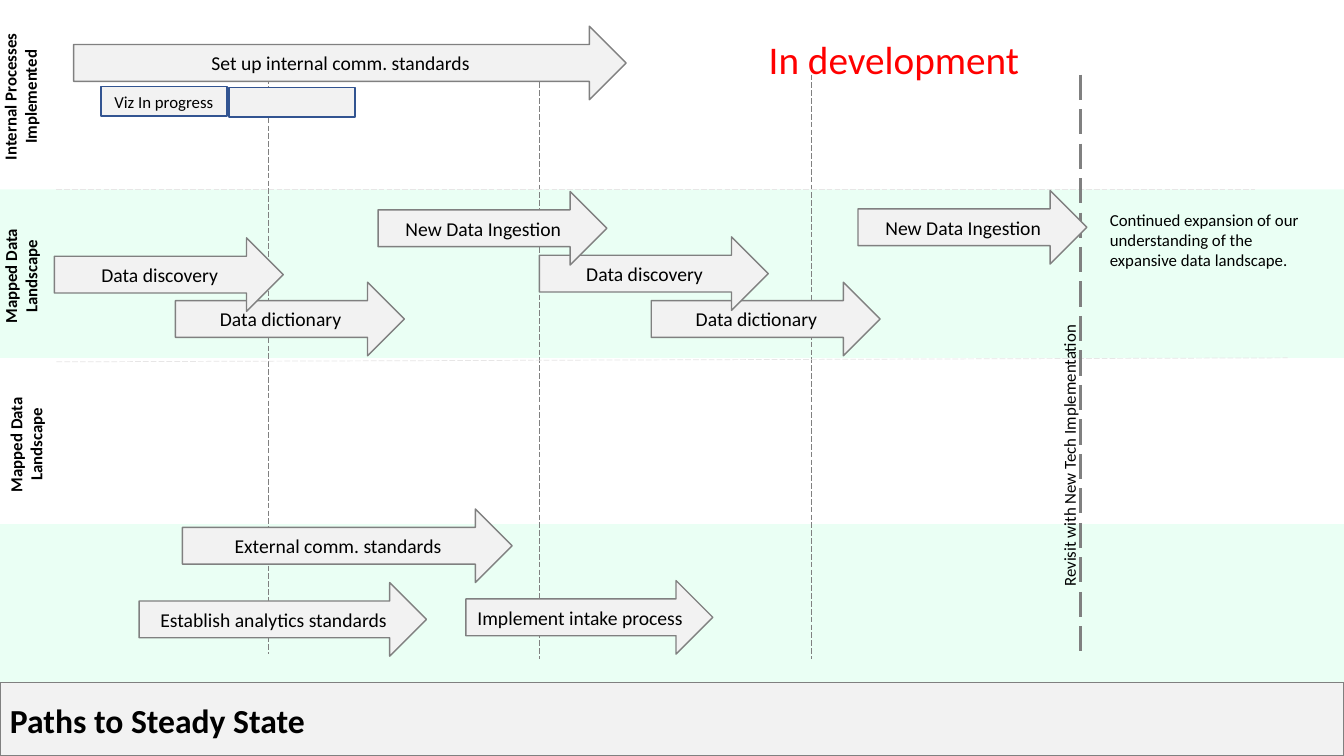
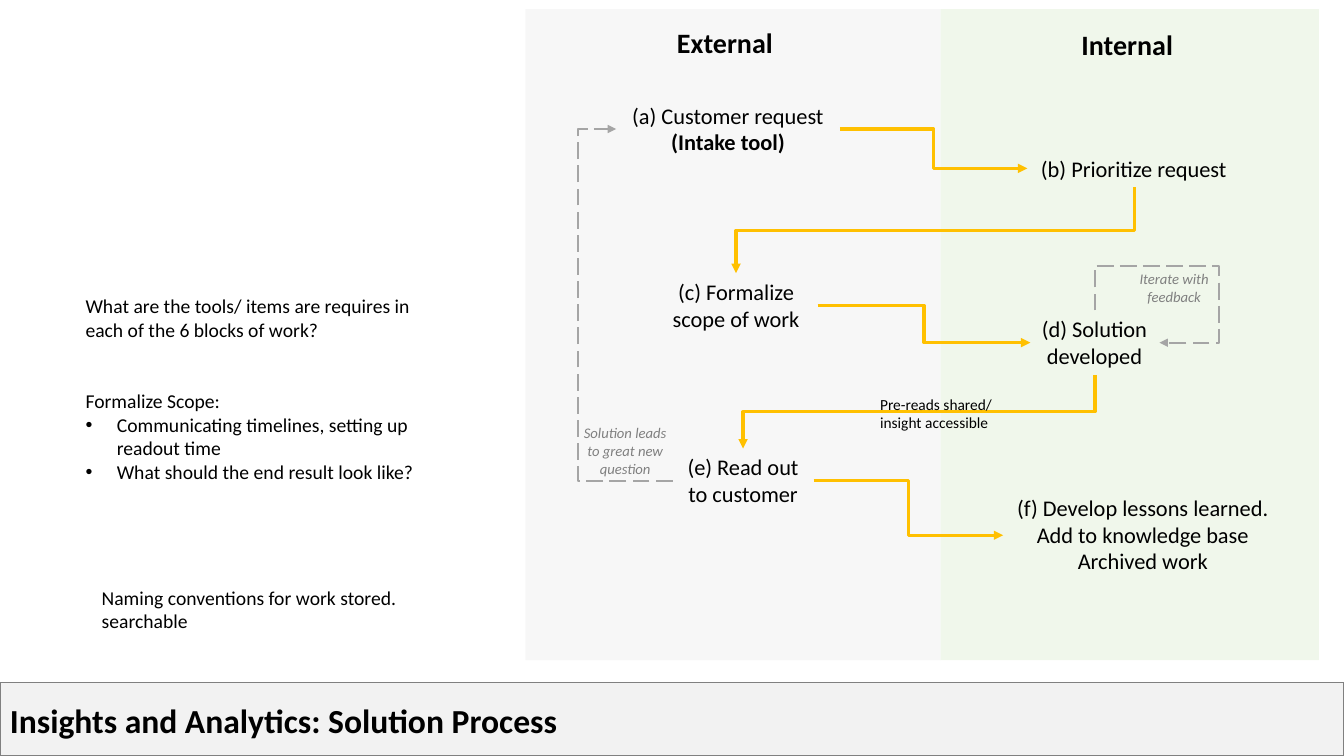
from pptx import Presentation
from pptx.dml.color import RGBColor
from pptx.enum.dml import MSO_LINE
from pptx.enum.shapes import MSO_CONNECTOR, MSO_SHAPE
from pptx.enum.text import MSO_ANCHOR, PP_ALIGN
from pptx.oxml.ns import qn
from pptx.util import Inches, Pt
from lxml.etree import SubElement

FONT = "Calibri"
WIDE, HIGH = 13.33, 7.5
COLORS = {
    "black": "000000", "red": "FF0000", "gray": "808080", "panel": "F2F2F2",
    "mint": "99FFCC", "pale": "E7E6E6", "navy": "325491", "silver": "EDEDED",
    "leaf": "E2F0D9", "gold": "FFC000", "loop": "A5A5A5",
}
LEFT, CENTER, RIGHT = PP_ALIGN.LEFT, PP_ALIGN.CENTER, PP_ALIGN.RIGHT

# Roadmap slide
LANES = [(5.2, 1.57), (1.88, 1.67)]  # top, height
RULES = [  # start, end, colour, weight
    ((8.05, 0.74), (8.05, 6.54), "gray", 0.5),
    ((5.35, 0.74), (5.35, 6.54), "gray", 0.5),
    ((2.66, 0.7), (2.66, 6.49), "gray", 0.5),
    ((0.56, 1.88), (12.45, 1.88), "pale", 0.5),
    ((0.56, 3.59), (12.77, 3.55), "pale", 0.5),
    ((10.72, 0.74), (10.72, 6.54), "gray", 2.25),
]
ARROW_H, STEP_W = 0.73, 2.27
STEPS = [  # text, left, top, width
    ("Set up internal comm. standards", 0.73, 0.26, 5.48),
    ("External comm. standards", 1.81, 5.05, 3.27),
    ("Data dictionary", 1.74, 2.8, STEP_W),
    ("Implement intake process", 4.62, 5.76, 2.45),
    ("Establish analytics standards", 1.38, 5.78, 2.85),
    ("Data discovery", 0.54, 2.36, STEP_W),
    ("Data dictionary", 6.46, 2.8, STEP_W),
    ("New Data Ingestion", 8.51, 1.89, STEP_W),
    ("Data discovery", 5.35, 2.35, STEP_W),
    ("New Data Ingestion", 3.75, 1.9, STEP_W),
]
TASKS = [("Viz In progress", 1, 0.86), ("", 2.27, 0.87)]
LABELS = [
    ("Internal Processes Implemented", (-0.68, 0.71, 1.76, 0.5)),
    ("Mapped Data Landscape", (-0.65, 2.49, 1.71, 0.5)),
    ("Mapped Data Landscape", (-0.6, 4.16, 1.71, 0.5)),
]

# Process slide
ZONES = [  # box, fill, opacity
    ((5.21, 0.09, 4.12, 6.46), "silver", 40),
    ((9.33, 0.09, 3.75, 6.46), "leaf", 50),
]
HEADS = [("External", (6.21, 0.2, 1.96, 0.44)),
         ("Internal", (10.2, 0.22, 1.96, 0.44))]
STAGES = [
    ("(a) Customer request\n(Intake tool)", (6.11, 0.96, 2.22, 0.64)),
    ("(b) Prioritize request", (10.19, 1.49, 2.11, 0.37)),
    ("(c) Formalize scope of work", (6.49, 2.71, 1.62, 0.64)),
    ("(d) Solution developed", (10.22, 3.08, 1.27, 0.64)),
    ("(e) Read out to customer", (6.67, 4.45, 1.4, 0.64)),
    ("(f) Develop lessons learned.\nAdd to knowledge base\nArchived work",
     (9.95, 4.85, 2.77, 0.91)),
]
FLOWS = [  # start, end, rotation
    ((8.33, 1.28), (10.19, 1.67), 0),
    ((11.25, 1.86), (7.3, 2.71), 90),
    ((8.11, 3.03), (10.22, 3.4), 0),
    ((10.86, 3.72), (7.37, 4.45), 90),
    ((8.07, 4.77), (9.95, 5.31), 0),
]
LOOPS = [  # start, end, rotation, bends, flipped
    ((10.86, 3.08), (11.5, 3.4), 270, (-1.38, 1.92), True),
    ((6.67, 4.77), (6.11, 1.28), 180, (1.68,), False),
]
ASIDES = [("Solution leads to great new question", (5.64, 4.16, 1.12, 0.63)),
          ("Iterate with feedback", (11.2, 2.63, 0.89, 0.45))]
NOTES = [
    "What are the tools/ items are requires in each of the 6 blocks of work?",
    "Formalize Scope:",
    "Communicating timelines, setting up readout time",
    "What should the end result look like?",
]


def rgb(name):
    return RGBColor.from_string(COLORS[name])


def style(frame, size, color="black", bold=False, italic=False, align=LEFT):
    frame.word_wrap = True
    for para in frame.paragraphs:
        para.alignment = align
        for run in para.runs:
            font = run.font
            font.name, font.size = FONT, Pt(size)
            font.bold, font.italic = bold, italic
            font.color.rgb = rgb(color)


def text(slide, words, box, size, turn=0, **look):
    shape = slide.shapes.add_textbox(*map(Inches, box))
    shape.rotation = turn
    shape.text_frame.text = words
    style(shape.text_frame, size, **look)
    return shape.text_frame


def block(slide, box, fill, line=None, kind=MSO_SHAPE.RECTANGLE,
          opacity=100, words="", size=14):
    shape = slide.shapes.add_shape(kind, *map(Inches, box))
    shape.shadow.inherit = False
    shape.fill.solid()
    shape.fill.fore_color.rgb = rgb(fill)
    if opacity < 100:
        tint = shape.fill._xPr.find(qn("a:solidFill"))[0]
        SubElement(tint, qn("a:alpha")).set("val", str(opacity * 1000))
    if line:
        shape.line.color.rgb = rgb(line)
        shape.line.width = Pt(1)
    else:
        shape.line.fill.background()
    if words:
        shape.text_frame.text = words
        shape.text_frame.vertical_anchor = MSO_ANCHOR.MIDDLE
        style(shape.text_frame, size, align=CENTER)


def rule(slide, start, end, color, weight, dash=True,
         kind=MSO_CONNECTOR.STRAIGHT):
    line = slide.shapes.add_connector(kind, *map(Inches, start + end))
    line.line.color.rgb = rgb(color)
    line.line.width = Pt(weight)
    if dash:
        line.line.dash_style = MSO_LINE.LONG_DASH
    SubElement(line._element.spPr, qn("a:effectLst"))
    return line


def elbow(slide, start, end, turn, color, weight, bends=(0.5,), flip=False,
          dash=False):
    """Bent arrow: its unturned frame shares a centre with start and end."""
    (x1, y1), (x2, y2) = start, end
    wide, high = abs(x2 - x1), abs(y2 - y1)
    if turn in (90, 270):
        wide, high = high, wide
    left, top = (x1 + x2 - wide) / 2, (y1 + y2 - high) / 2
    line = rule(slide, (left, top), (left + wide, top + high), color, weight,
                dash, MSO_CONNECTOR.ELBOW)
    props = line._element.spPr
    frame = props.find(qn("a:xfrm"))
    if turn:
        frame.set("rot", str(turn * 60000))
    if flip:
        frame.set("flipH", "1")
    shape = props.find(qn("a:prstGeom"))
    shape.set("prst", f"bentConnector{len(bends) + 2}")
    guides = shape.find(qn("a:avLst"))
    if guides is None:
        guides = SubElement(shape, qn("a:avLst"))
    for num, bend in enumerate(bends, 1):
        guide = SubElement(guides, qn("a:gd"))
        guide.set("name", f"adj{num}")
        guide.set("fmla", f"val {round(bend * 100000)}")
    SubElement(props.find(qn("a:ln")), qn("a:tailEnd")).set("type", "triangle")


def bullet(para):
    props = para._p.get_or_add_pPr()
    props.set("marL", str(Inches(0.31)))
    props.set("indent", str(-Inches(0.31)))
    SubElement(props, qn("a:buFont")).set("typeface", "Arial")
    SubElement(props, qn("a:buChar")).set("char", "•")


def footer(slide, title):
    block(slide, (0, 6.77, WIDE, 0.73), "panel", "gray")
    text(slide, title, (0, 6.89, 6.21, 0.5), 24, bold=True)


def roadmap(slide):
    for top, high in LANES:
        block(slide, (0, top, WIDE, high), "mint", opacity=20)
    for item in RULES:
        rule(slide, *item)
    footer(slide, "Paths to Steady State")
    for words, left, top, wide in STEPS:
        block(slide, (left, top, wide, ARROW_H), "panel", "gray",
              MSO_SHAPE.RIGHT_ARROW, words=words)
    for words, left, top in TASKS:
        block(slide, (left, top, 1.25, 0.29), "panel", "navy",
              words=words, size=12)
    for words, box in LABELS:
        text(slide, words, box, 12, turn=270, bold=True, align=CENTER)
    text(slide, "Revisit with New Tech Implementation",
         (9.1, 4.48, 3.01, 0.3), 12, turn=270, align=RIGHT)
    text(slide, "Continued expansion of our understanding of the "
         "expansive data landscape.", (10.91, 2.03, 2.27, 0.71), 12)
    text(slide, "In development", (6.82, 0.3, 4.09, 0.57), 28,
         color="red", align=CENTER)


def process(slide):
    for box, fill, opacity in ZONES:
        block(slide, box, fill, opacity=opacity)
    for words, box in HEADS:
        text(slide, words, box, 20, bold=True, align=CENTER)
    frames = [text(slide, words, box, 16, align=CENTER)
              for words, box in STAGES]
    frames[0].paragraphs[1].runs[0].font.bold = True
    for start, end, turn in FLOWS:
        elbow(slide, start, end, turn, "gold", 2.25)
    for start, end, turn, bends, flip in LOOPS:
        elbow(slide, start, end, turn, "loop", 1.5, bends, flip, dash=True)
    for words, box in ASIDES:
        text(slide, words, box, 10.5, color="gray", italic=True, align=CENTER)
    text(slide, "Pre-reads shared/ insight accessible",
         (8.63, 3.87, 1.32, 0.47), 11)
    notes = text(slide, "\n".join(NOTES), (0.75, 2.87, 3.81, 1.99), 14)
    notes.paragraphs[1].space_before = Pt(34)
    for para in notes.paragraphs[2:]:
        bullet(para)
    text(slide, "Naming conventions for work stored. searchable",
         (0.91, 5.76, 3.81, 0.57), 14)
    footer(slide, "Insights and Analytics: Solution Process")


def main():
    deck = Presentation()
    deck.slide_width, deck.slide_height = Inches(WIDE), Inches(HIGH)
    for build in (roadmap, process):
        build(deck.slides.add_slide(deck.slide_layouts[6]))
    deck.save("out.pptx")


if __name__ == "__main__":
    main()
